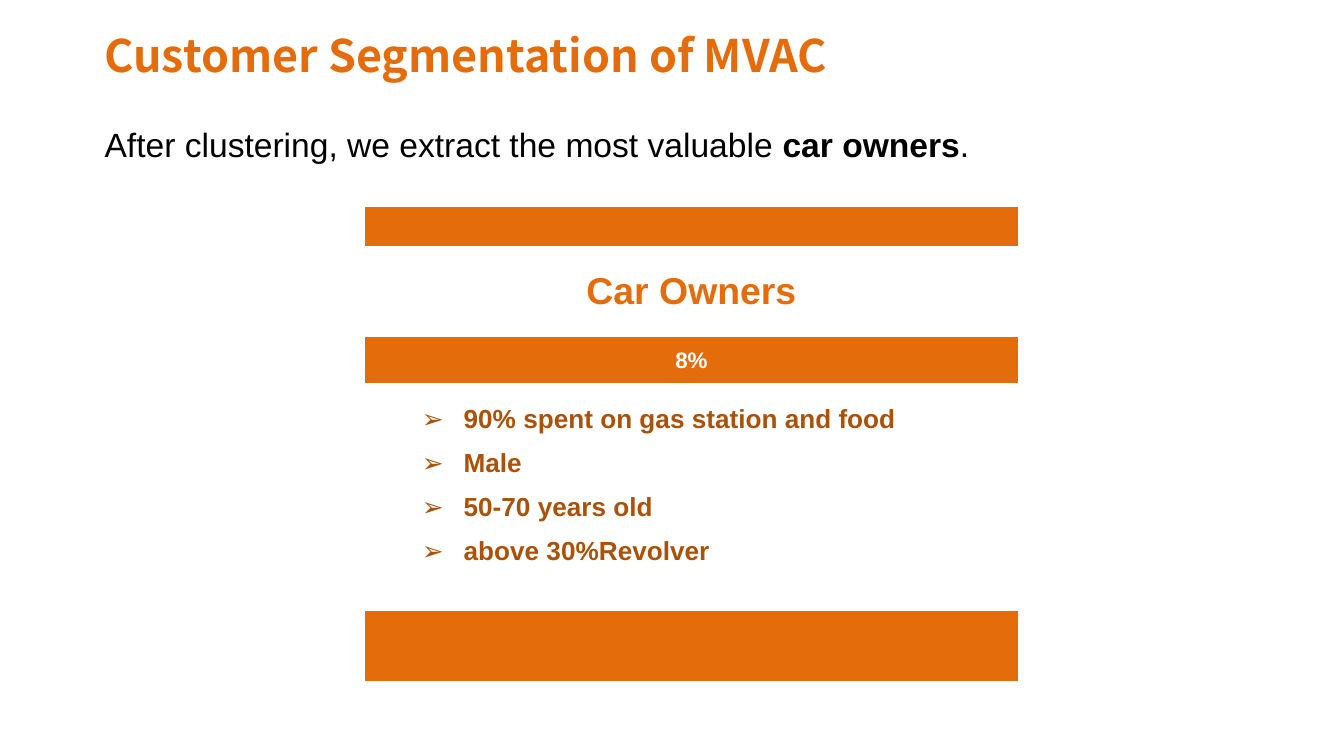
from lxml import etree
from pptx import Presentation, util as u
from pptx.dml.color import RGBColor
from pptx.enum import text
from pptx.oxml import ns

ORANGE, BROWN, WHITE, BLACK = "E46C0A", "AB5108", "FFFFFF", "000000"
TITLE = "Customer Segmentation of MVAC"
INTRO = [("After clustering, we extract the most valuable ", False),
         ("car owners", True), (".", False)]
SEGMENT, SHARE = "Car Owners", "8%"
TRAITS = ["90% spent on gas station and food", "Male", "50-70 years old",
          "above 30%Revolver"]
COLUMNS = [0.34, 4.21, 0.34]
ROWS = [0.3, 0.68] + [0.34] * 6 + [0.53]
BANDS = {0, 2, len(ROWS) - 1}
BORDER = 2.25
INDENT = u.Inches(0.31)
SLIDE_WIDTH = u.Inches(10)
SLIDE_HEIGHT = SLIDE_WIDTH * 9 // 16


def colour(value):
    return RGBColor.from_string(value)


def add_run(paragraph, words, size, shade, bold=True, font="Arial"):
    run = paragraph.add_run()
    run.text = words
    run.font.size, run.font.bold, run.font.name = u.Pt(size), bold, font
    run.font.color.rgb = colour(shade)


def add_box(slide, left, top, width, height):
    return slide.shapes.add_textbox(*map(u.Inches, (left, top, width, height))).text_frame


def add_node(parent, tag, **attributes):
    return etree.SubElement(parent, ns.qn(tag), attributes)


def style_cell(cell, shade, edges):
    properties = cell._tc.get_or_add_tcPr()
    for side in "LRTB":
        line = add_node(properties, f"a:ln{side}", w=str(u.Pt(BORDER)))
        if side in edges:
            add_node(add_node(line, "a:solidFill"), "a:srgbClr", val=WHITE)
        else:
            add_node(line, "a:noFill")
    cell.fill.solid()
    cell.fill.fore_color.rgb = colour(shade)
    if not cell.text_frame.text:
        add_node(cell.text_frame.paragraphs[0]._p, "a:endParaRPr", sz="800")


def add_bullet(paragraph, words):
    paragraph.line_spacing = 1.5
    properties = paragraph._p.get_or_add_pPr()
    properties.set("marL", str(INDENT))
    properties.set("indent", str(-INDENT))
    add_node(properties, "a:buFont", typeface="Arial")
    add_node(properties, "a:buChar", char="➢")
    add_run(paragraph, words, 14, BROWN)


def add_segment_table(slide):
    last_row, last_column = len(ROWS) - 1, len(COLUMNS) - 1
    table = slide.shapes.add_table(
        len(ROWS), len(COLUMNS), u.Inches(2.7), u.Inches(1.53),
        u.Inches(sum(COLUMNS)), u.Inches(sum(ROWS))).table
    table.first_row = table.horz_banding = False
    for column, width in zip(table.columns, COLUMNS):
        column.width = u.Inches(width)
    for row, height in zip(table.rows, ROWS):
        row.height = u.Inches(height)
    table.cell(3, 1).merge(table.cell(last_row - 1, 1))
    table.cell(last_row, 0).merge(table.cell(last_row, last_column))

    for row, words, size, shade in [(1, SEGMENT, 20, ORANGE), (2, SHARE, 12, WHITE)]:
        cell = table.cell(row, 1)
        cell.vertical_anchor = text.MSO_ANCHOR.MIDDLE
        paragraph = cell.text_frame.paragraphs[0]
        paragraph.alignment = text.PP_ALIGN.CENTER
        add_run(paragraph, words, size, shade)
    frame = table.cell(3, 1).text_frame
    for index, trait in enumerate(TRAITS):
        add_bullet(frame.add_paragraph() if index else frame.paragraphs[0], trait)

    for row in range(len(ROWS)):
        for column in range(len(COLUMNS)):
            cell = table.cell(row, column)
            end = column + (cell.span_width if cell.is_merge_origin else 1) - 1
            edges = {"L": column == 0, "R": end == last_column,
                     "T": row == 0, "B": row == last_row}
            style_cell(cell, ORANGE if row in BANDS else WHITE,
                       {side for side, outer in edges.items() if outer})


def main():
    """Build the customer segmentation slide."""
    deck = Presentation()
    deck.slide_width, deck.slide_height = SLIDE_WIDTH, SLIDE_HEIGHT
    slide = deck.slides.add_slide(deck.slide_layouts[6])

    title = add_box(slide, 0.68, 0.09, 9.17, 0.63)
    title.word_wrap = True
    title.vertical_anchor = text.MSO_ANCHOR.MIDDLE
    title.paragraphs[0].space_before = u.Pt(4.8)
    add_run(title.paragraphs[0], TITLE, 24, ORANGE, font="Noto Sans CJK SC")

    intro = add_box(slide, 0.68, 0.87, 6.91, 0.4)
    intro.word_wrap = False
    intro.auto_size = text.MSO_AUTO_SIZE.SHAPE_TO_FIT_TEXT
    for words, bold in INTRO:
        add_run(intro.paragraphs[0], words, 18, BLACK, bold)

    add_segment_table(slide)
    deck.save("out.pptx")


if __name__ == "__main__":
    main()
